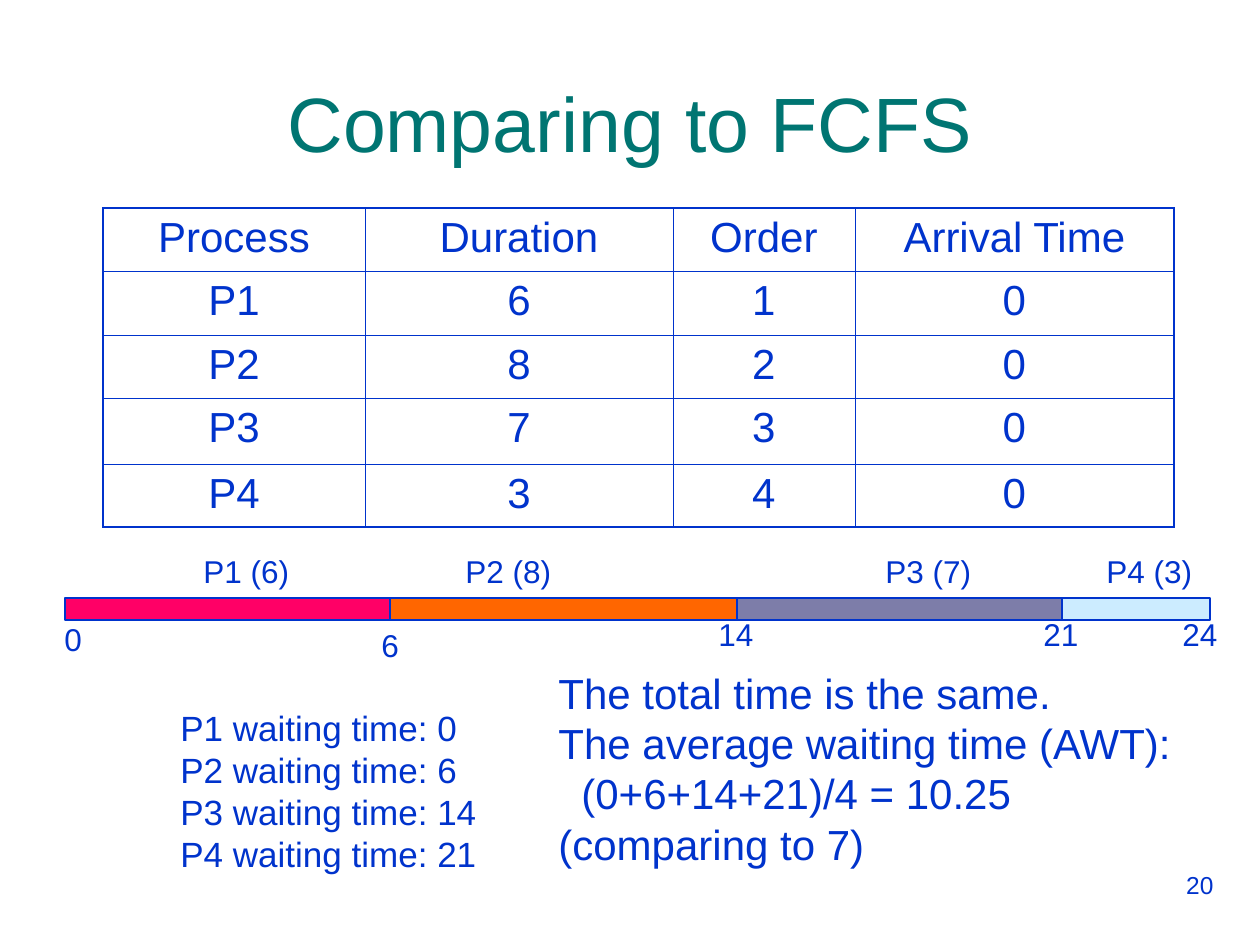
from lxml import etree
from pptx import Presentation
from pptx.dml.color import RGBColor
from pptx.enum.dml import MSO_LINE
from pptx.enum.shapes import MSO_CONNECTOR, MSO_SHAPE
from pptx.enum.text import MSO_ANCHOR as Anchor, MSO_AUTO_SIZE as AutoSize, PP_ALIGN as Align
from pptx.oxml.ns import qn
from pptx.util import Emu, Pt

PX = 914400 / 126  # EMU in one px
BLUE = RGBColor(0x00, 0x33, 0xCC)
TEAL = RGBColor(0x00, 0x75, 0x72)
PINK = RGBColor(0xFF, 0x00, 0x66)
ORANGE = RGBColor(0xFF, 0x66, 0x00)
VIOLET = RGBColor(0x7D, 0x7D, 0xA9)
PALE = RGBColor(0xCC, 0xEC, 0xFF)


def px(*lengths):
    return [Emu(round(length * PX)) for length in lengths]


def add_text(left, top, width, height, lines, size, color=BLUE, align=Align.LEFT, wrap=False):
    box = page.shapes.add_textbox(*px(left, top, width, height))
    frame = box.text_frame
    frame.word_wrap = wrap
    frame.auto_size = AutoSize.NONE if wrap else AutoSize.SHAPE_TO_FIT_TEXT
    frame.text = "\n".join(lines)
    for para in frame.paragraphs:
        para.alignment = align
        for span in para.runs:
            span.font.name = "Arial"
            span.font.size = Pt(size)
            span.font.color.rgb = color
    return frame


deck = Presentation()
deck.slide_width, deck.slide_height = px(1260, 945)
page = deck.slides.add_slide(deck.slide_layouts[6])

# Page number and title
add_text(911, 864, 315, 66, ["20"], 14, align=Align.RIGHT, wrap=True)
title = add_text(42, 43, 1176, 157, ["Comparing to FCFS"], 44, TEAL, Align.CENTER, wrap=True)
title.vertical_anchor = Anchor.MIDDLE

# Process table
rows = [
    ("Process", "Duration", "Order", "Arrival Time"),
    ("P1", "6", "1", "0"),
    ("P2", "8", "2", "0"),
    ("P3", "7", "3", "0"),
    ("P4", "3", "4", "0"),
]
column_widths = px(262, 308, 182, 319)
row_heights = px(63, 64, 63, 66, 63)
last_row, last_column = len(rows) - 1, len(column_widths) - 1
table = page.shapes.add_table(len(rows), len(column_widths), *px(103, 208, 1071, 319)).table
table.first_row = table.horz_banding = False
for column, width in zip(table.columns, column_widths):
    column.width = width
for row, height in zip(table.rows, row_heights):
    row.height = height

for r, values in enumerate(rows):
    for c, value in enumerate(values):
        cell = table.cell(r, c)
        cell.text = value
        para = cell.text_frame.paragraphs[0]
        para.alignment = Align.CENTER
        span = para.runs[0]
        span.font.name = "Arial"
        span.font.size = Pt(24)
        span.font.color.rgb = BLUE
        # Thick outer edges, thin inner ones
        outer_edges = {"lnL": c == 0, "lnR": c == last_column, "lnT": r == 0, "lnB": r == last_row}
        properties = cell._tc.get_or_add_tcPr()
        for edge, outer in outer_edges.items():
            border = etree.SubElement(properties, qn(f"a:{edge}"), w=str(Pt(1.08 if outer else 0.45)))
            fill = etree.SubElement(border, qn("a:solidFill"))
            etree.SubElement(fill, qn("a:srgbClr"), val=str(BLUE))
        cell.fill.background()

# Waiting times and average
waits = [("P1", 0), ("P2", 6), ("P3", 14), ("P4", 21)]
add_text(168, 700, 325, 181, [f"{name} waiting time: {wait}" for name, wait in waits], 20)
summary = add_text(546, 661, 652, 214, [
    "The total time is the same.",
    "The average waiting time (AWT):",
    "(0+6+14+21)/4 = 10.25",
    "(comparing to 7)",
], 24)
summary.paragraphs[2]._p.get_or_add_pPr().set("marL", str(px(23)[0]))

# Dashed time axis behind the bars
axis = page.shapes.add_connector(MSO_CONNECTOR.STRAIGHT, *px(76, 609, 1210, 609))
axis.line.color.rgb = BLUE
axis.line.width = Pt(0.75)
axis.line.dash_style = MSO_LINE.DASH
etree.SubElement(axis._element.spPr, qn("a:effectLst"))

# Schedule bars: label, label left, bar left, bar right, colour
bars = [
    ("P1 (6)", 191, 65, 390, PINK),
    ("P2 (8)", 453, 390, 737, ORANGE),
    ("P3 (7)", 873, 737, 1062, VIOLET),
    ("P4 (3)", 1094, 1062, 1210, PALE),
]
for label, label_left, left, right, color in bars:
    bar = page.shapes.add_shape(MSO_SHAPE.RECTANGLE, *px(left, 598, right - left, 22))
    bar.shadow.inherit = False
    bar.fill.solid()
    bar.fill.fore_color.rgb = color
    bar.line.color.rgb = BLUE
    bar.line.width = Pt(0.75)
    add_text(label_left, 546, 111, 50, [label], 18)
axis.end_connect(bar, 3)

# Time marks: time, left, top, width
marks = [("0", 52, 614, 43), ("6", 369, 620, 43), ("14", 706, 609, 60),
         ("21", 1031, 609, 60), ("24", 1170, 609, 60)]
for time, left, top, width in marks:
    add_text(left, top, width, 50, [time], 18)

deck.save("out.pptx")
